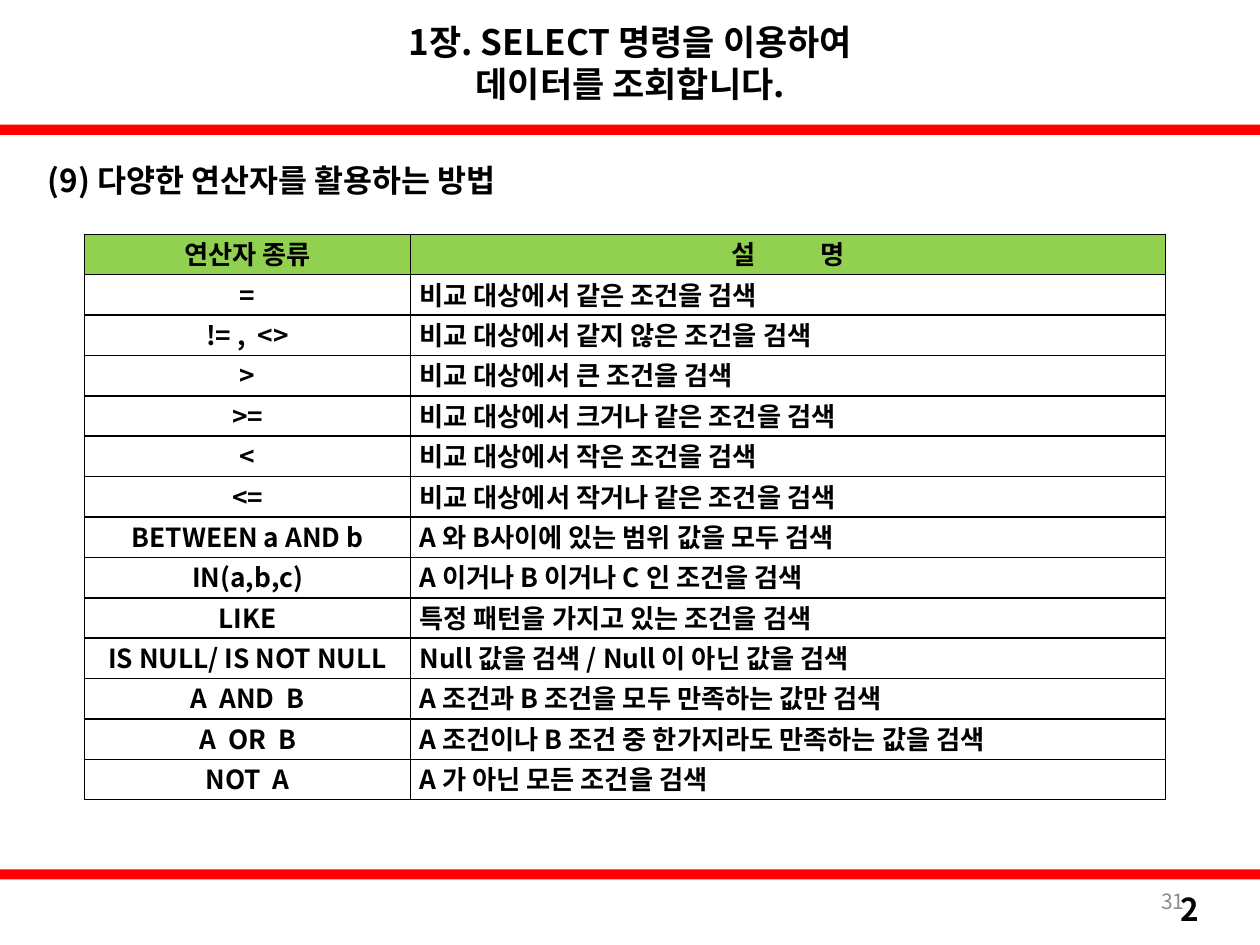
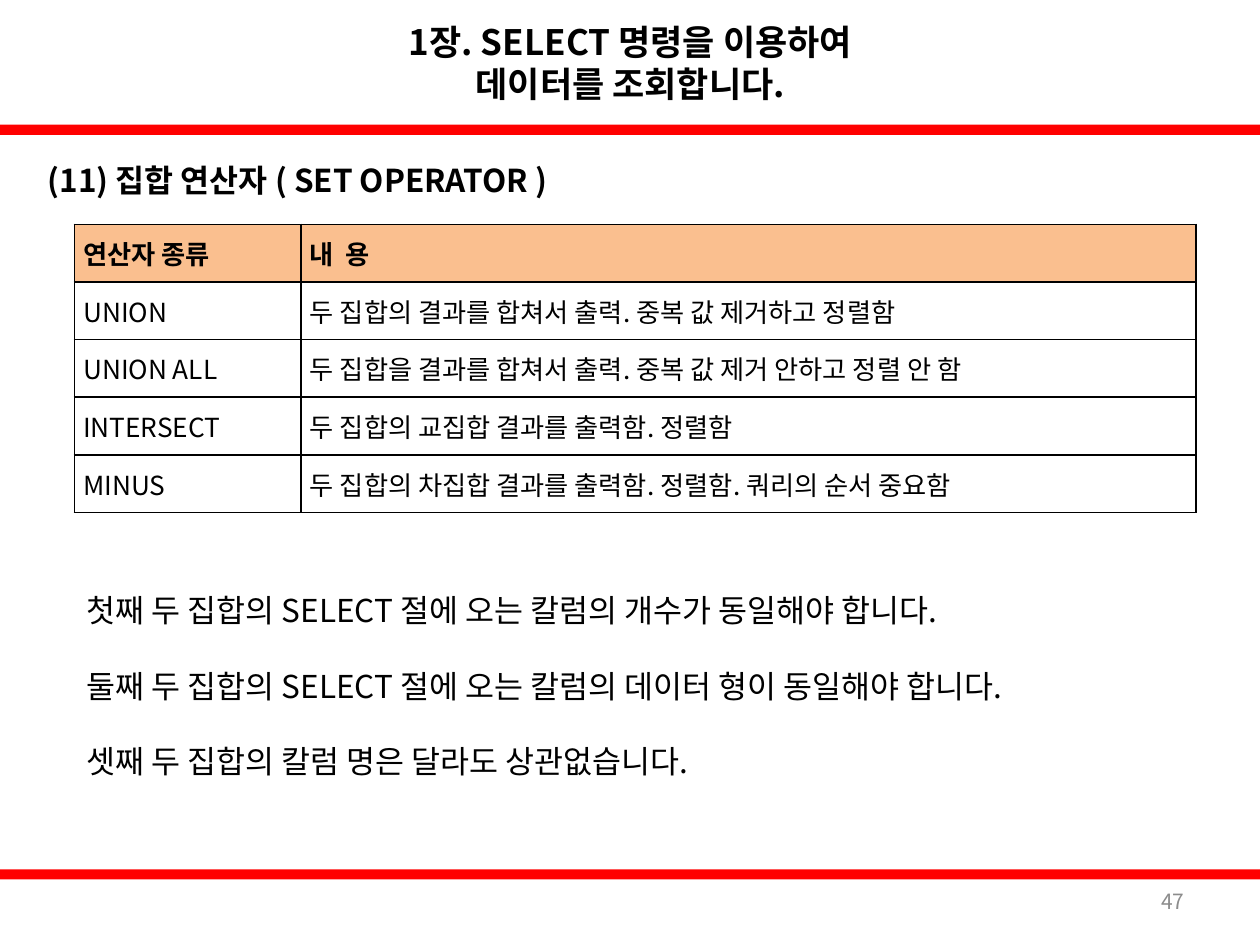
import pptx
import pptx.util
import pptx.dml.color
import pptx.enum.shapes
import pptx.enum.text
import pptx.oxml
import pptx.oxml.ns

COLORS = {"band": "FF0000", "text": "000000", "number": "8C8C8C", "line": "000000",
          "green": "92D050", "orange": "FABF8F"}
FONT = "Noto Sans CJK KR"
ALIGN = pptx.enum.text.PP_ALIGN
SHAPES = pptx.enum.shapes.MSO_SHAPE
MIDDLE = pptx.enum.text.MSO_ANCHOR.MIDDLE
TOP = pptx.enum.text.MSO_ANCHOR.TOP
NAMESPACE = pptx.oxml.ns.nsdecls("a")

deck = pptx.Presentation()
deck.slide_width = pptx.util.Inches(10)
deck.slide_height = pptx.util.Inches(7.5)
column = deck.slide_width / 100
row = deck.slide_height / 100


def area(left, top, width, height):
    return [int(left * column), int(top * row), int(width * column), int(height * row)]


def write(frame, lines, size, align=ALIGN.LEFT, bold=False, color="text", gap=0, anchor=MIDDLE):
    frame.word_wrap = True
    frame.vertical_anchor = anchor
    for index, line in enumerate(lines):
        para = frame.add_paragraph() if index else frame.paragraphs[0]
        para.alignment = align
        para.space_before = pptx.util.Pt(gap if index else 0)
        span = para.add_run()
        span.text = line
        formats = {"name": FONT, "size": pptx.util.Pt(size), "bold": bold}
        for name, value in formats.items():
            setattr(span.font, name, value)
        span.font.color.rgb = pptx.dml.color.RGBColor.from_string(COLORS[color])
        span.font._element.append(pptx.oxml.parse_xml(f'<a:ea {NAMESPACE} typeface="{FONT}"/>'))


title_lines = ["1장. SELECT 명령을 이용하여 ", "데이터를 조회합니다. "]
operators = [
    ("연산자 종류", "설 명"),
    ("=", "비교 대상에서 같은 조건을 검색"),
    ("!= ,  <>", "비교 대상에서 같지 않은 조건을 검색"),
    (">", "비교 대상에서 큰 조건을 검색"),
    (">=", "비교 대상에서 크거나 같은 조건을 검색"),
    ("<", "비교 대상에서 작은 조건을 검색"),
    ("<=", "비교 대상에서 작거나 같은 조건을 검색"),
    ("BETWEEN a AND b", "A 와 B사이에 있는 범위 값을 모두 검색"),
    ("IN(a,b,c)", "A 이거나 B 이거나 C 인 조건을 검색"),
    ("LIKE", "특정 패턴을 가지고 있는 조건을 검색"),
    ("IS NULL/ IS NOT NULL", "Null 값을 검색 / Null 이 아닌 값을 검색"),
    ("A  AND  B", "A 조건과 B 조건을 모두 만족하는 값만 검색"),
    ("A  OR  B", "A 조건이나 B 조건 중 한가지라도 만족하는 값을 검색"),
    ("NOT  A", "A 가 아닌 모든 조건을 검색"),
]
set_operators = [
    ("연산자 종류", "내  용"),
    ("UNION", "두 집합의 결과를 합쳐서 출력. 중복 값 제거하고 정렬함"),
    ("UNION ALL", "두 집합을 결과를 합쳐서 출력. 중복 값 제거 안하고 정렬 안 함"),
    ("INTERSECT", "두 집합의 교집합 결과를 출력함. 정렬함"),
    ("MINUS", "두 집합의 차집합 결과를 출력함. 정렬함. 쿼리의 순서 중요함"),
]
set_rules = [
    "첫째 두 집합의 SELECT 절에 오는 칼럼의 개수가 동일해야 합니다.",
    "둘째 두 집합의 SELECT 절에 오는 칼럼의 데이터 형이 동일해야 합니다.",
    "셋째 두 집합의 칼럼 명은 달라도 상관없습니다.",
]
pages = [
    {"number": "31", "heading": "(9) 다양한 연산자를 활용하는 방법", "rows": operators,
     "at": (6.7, 24.8, 85.8, 59.88), "first": 25.9, "fill": "green", "bold": True,
     "key": ALIGN.CENTER, "head": ALIGN.CENTER, "anchor": TOP, "badge": "2", "rules": []},
    {"number": "47", "heading": "(11) 집합 연산자 ( SET OPERATOR )", "rows": set_operators,
     "at": (5.9, 23.75, 89, 30.48), "first": 18, "fill": "orange", "bold": False,
     "key": ALIGN.JUSTIFY, "head": ALIGN.JUSTIFY, "anchor": MIDDLE, "badge": "", "rules": set_rules},
]

for content in pages:
    page = deck.slides.add_slide(deck.slide_layouts[5])
    title = page.shapes.title
    title.left, title.top, title.width, title.height = area(16.9, 0, 66.9, 13.2)
    write(title.text_frame, title_lines, 20, ALIGN.CENTER, True)

    for top in (13.2, 92):
        band = page.shapes.add_shape(SHAPES.RECTANGLE, *area(0, top, 100, 1.07))
        band.shadow.inherit = False
        band.fill.solid()
        band.fill.fore_color.rgb = pptx.dml.color.RGBColor.from_string(COLORS["band"])
        band.line.fill.background()

    if content["badge"]:
        badge = page.shapes.add_shape(SHAPES.ROUNDED_RECTANGLE, *area(90.9, 94.13, 7.1, 4.13))
        badge.shadow.inherit = False
        badge.fill.background()
        badge.line.fill.background()
        write(badge.text_frame, [content["badge"]], 18, ALIGN.CENTER, True)

    number = page.shapes.add_textbox(*area(71.7, 92.67, 23.3, 5.33))
    write(number.text_frame, [content["number"]], 12, ALIGN.RIGHT, color="number")
    heading = page.shapes.add_textbox(*area(2.8, 15.33, 92.9, 7.33))
    write(heading.text_frame, [content["heading"]], 18, bold=True)

    rows = content["rows"]
    table = page.shapes.add_table(len(rows), 2, *area(*content["at"])).table
    table.horz_banding = False
    table.columns[0].width = int(content["first"] * column)
    table.columns[1].width = int((content["at"][2] - content["first"]) * column)
    for row_index, texts in enumerate(rows):
        for column_index, text in enumerate(texts):
            cell = table.cell(row_index, column_index)
            is_head = row_index == 0
            align = content["head"] if is_head else (content["key"], ALIGN.JUSTIFY)[column_index]
            write(cell.text_frame, [text], 15, align, is_head or content["bold"])
            margin = pptx.util.Inches(0.07)
            settings = {"margin_left": margin, "margin_right": margin, "margin_top": 0,
                        "margin_bottom": 0, "vertical_anchor": content["anchor"]}
            for name, value in settings.items():
                setattr(cell, name, value)
            if is_head:
                cell.fill.solid()
                cell.fill.fore_color.rgb = pptx.dml.color.RGBColor.from_string(COLORS[content["fill"]])
            else:
                cell.fill.background()
            for position, side in enumerate("LRTB"):
                border = pptx.oxml.parse_xml(
                    f'<a:ln{side} {NAMESPACE} w="12700"><a:solidFill>'
                    f'<a:srgbClr val="{COLORS["line"]}"/></a:solidFill></a:ln{side}>')
                cell._tc.get_or_add_tcPr().insert(position, border)
            if text == "설 명":
                cell.text_frame.paragraphs[0].runs[0].font._element.set("spc", "1700")

    if content["rules"]:
        rules = page.shapes.add_textbox(*area(5.9, 56.27, 89, 32.53))
        write(rules.text_frame, content["rules"], 18, gap=21.6)

deck.save("out.pptx")
